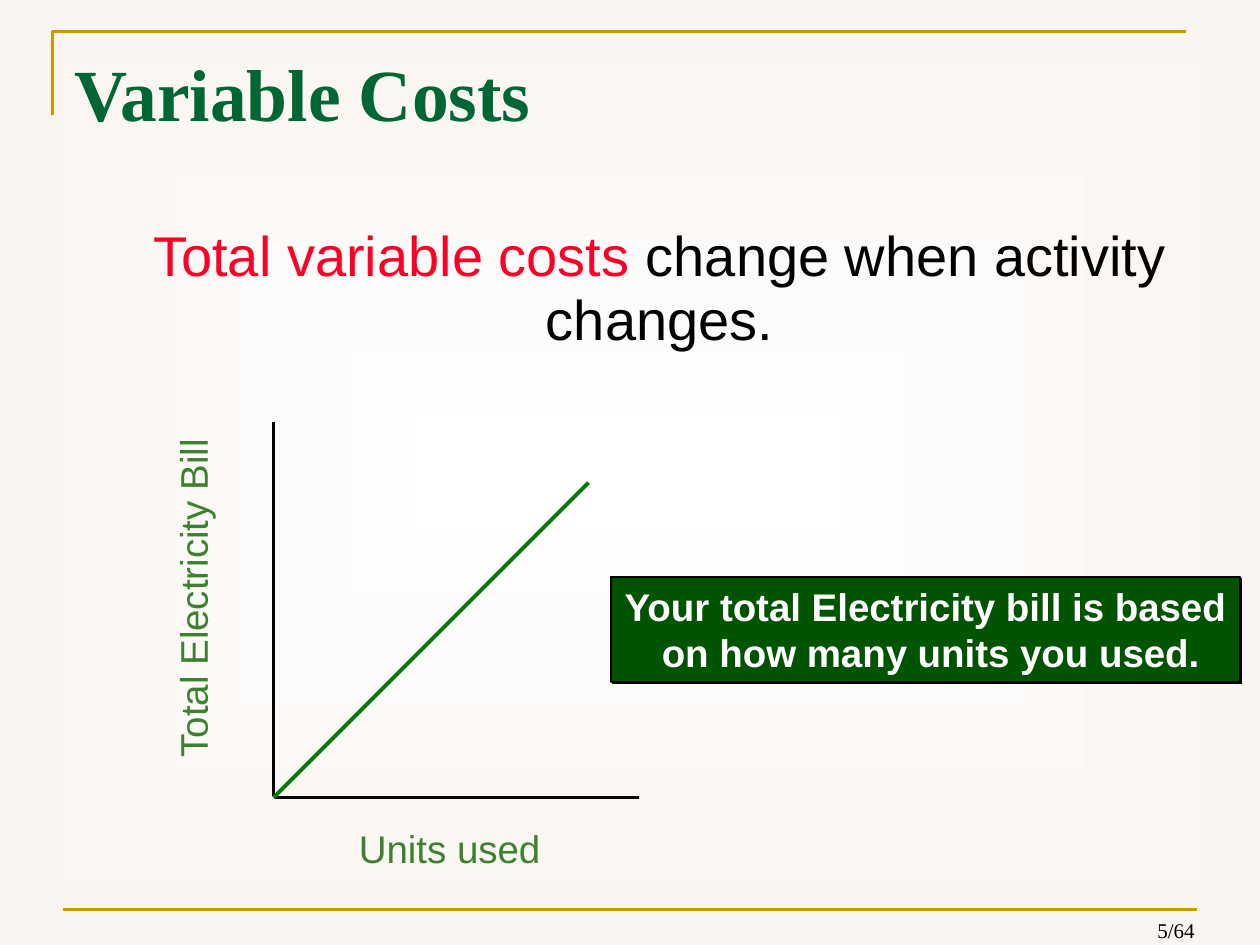
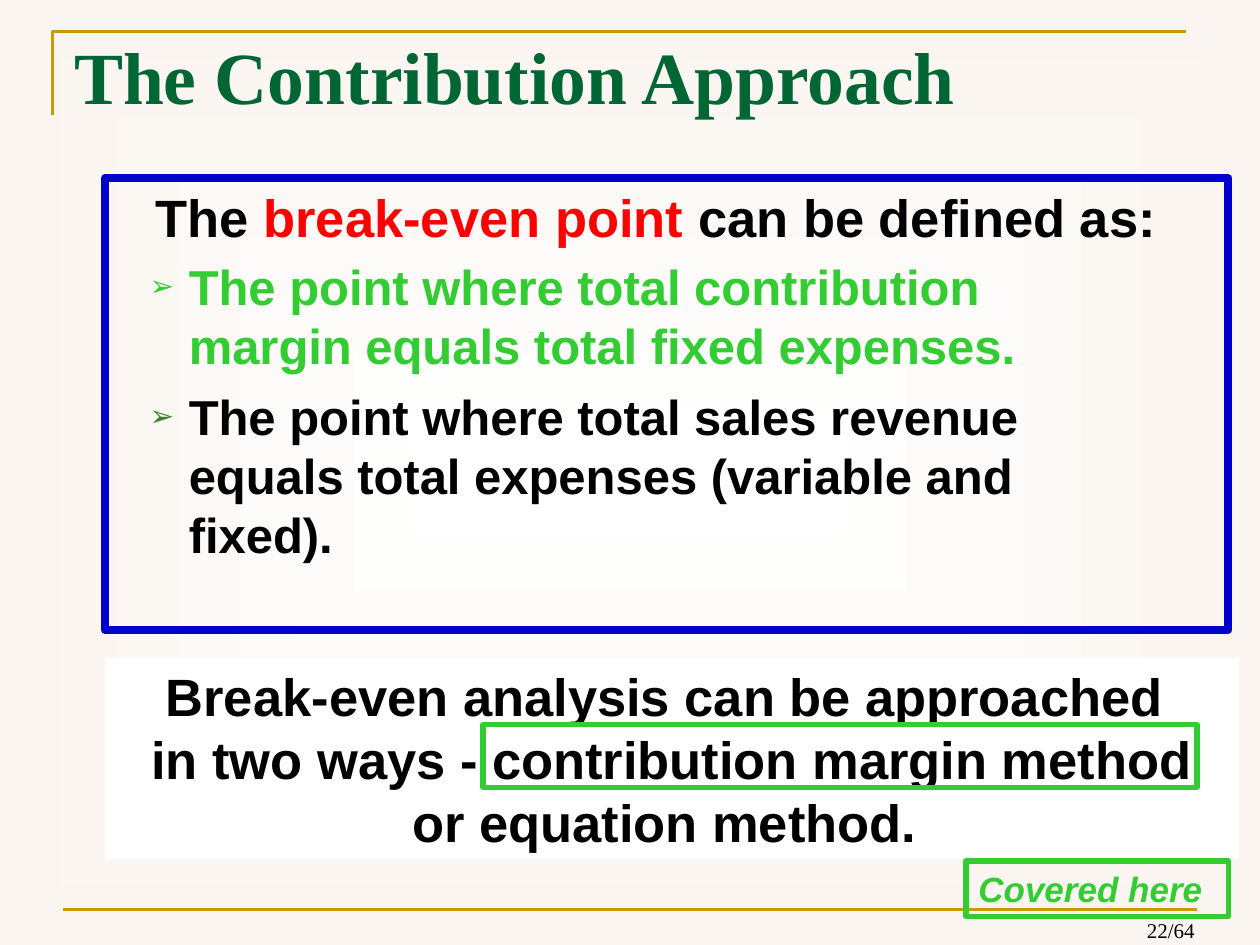
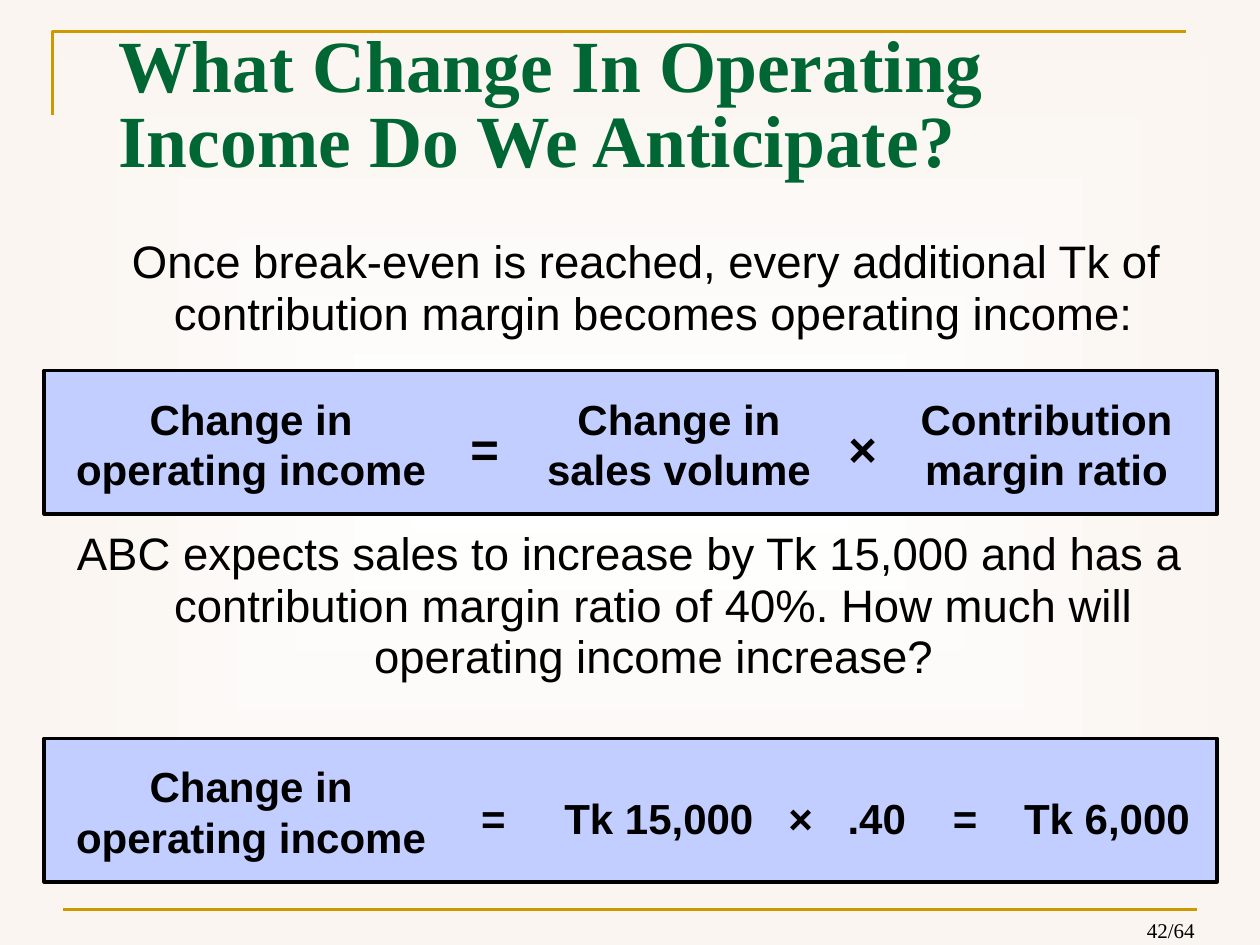
from lxml import etree
from pptx import Presentation
from pptx.dml.color import RGBColor
from pptx.enum.shapes import MSO_CONNECTOR, MSO_SHAPE
from pptx.enum.text import MSO_ANCHOR, PP_ALIGN
from pptx.oxml.ns import qn
from pptx.util import Pt

LEFT, MID, RIGHT = PP_ALIGN.LEFT, PP_ALIGN.CENTER, PP_ALIGN.RIGHT
TOP, LOW = MSO_ANCHOR.TOP, MSO_ANCHOR.BOTTOM
RECT, STRAIGHT = MSO_SHAPE.RECTANGLE, MSO_CONNECTOR.STRAIGHT

BLACK = RGBColor(0x00, 0x00, 0x00)
WHITE = RGBColor(0xFF, 0xFF, 0xFF)
CREAM = RGBColor(0xFA, 0xF5, 0xF0)
GOLD = RGBColor(0xCC, 0x99, 0x00)
PINE = RGBColor(0x00, 0x66, 0x33)
MOSS = RGBColor(0x3B, 0x81, 0x2F)
DARK = RGBColor(0x00, 0x54, 0x00)
LEAF = RGBColor(0x03, 0x7C, 0x03)
LIME = RGBColor(0x33, 0xCC, 0x33)
ROSE = RGBColor(0xFC, 0x01, 0x28)
RED = RGBColor(0xFF, 0x00, 0x00)
BLUE = RGBColor(0x00, 0x00, 0xCC)
PALE = RGBColor(0xC1, 0xCE, 0xFF)

# Run formats
HEAD = dict(name="Times New Roman", size=42, bold=True, color=PINE)
PAGE = dict(name="Times New Roman", size=12, color=BLACK)
AXIS = dict(name="Arial", size=22, color=MOSS)
LEAD = dict(name="Arial", size=32, color=BLACK)
BOLD = dict(name="Arial", size=30, bold=True, color=BLACK)
POINT = dict(BOLD, size=28)
NOTE = dict(BOLD, size=22, color=WHITE)
TAG = dict(BOLD, size=20, italic=True, color=LIME)
BODY = dict(name="Arial", size=26, color=BLACK)
TERM = dict(BOLD, size=24)

# Title, title place (left, top, width, height), page number
PAGES = [
    ("Variable Costs", (35.3, 18, 648, 63.4), "5/64"),
    ("The Contribution Approach", (35.3, 18, 648, 54), "22/64"),
    ("What Change In Operating Income Do We Anticipate?",
     (60.5, 12.2, 599, 95.8), "42/64"),
]

# Slide 1: from, to, colour, width
GRAPH = [
    ((156.3, 241.2), (156.3, 455), BLACK, 2),
    ((157, 455.8), (365, 455.8), BLACK, 2),
    ((156.3, 455.8), (336.3, 275.8), LEAF, 2.25),
]
BILL = [[("Your total Electricity bill is based", NOTE)],
        [(" on how many units you used.", NOTE)]]

# Slide 2
POINTS = [
    ("The point where total contribution\n"
     "margin equals total fixed expenses.", LIME, LIME),
    ("The point where total sales revenue\n"
     "equals total expenses (variable and\nfixed).", BLACK, MOSS),
]
WAYS = ("Break-even analysis can be approached \n"
        "in two ways - contribution margin method\nor equation method. ")
FRAMES = [
    ((60, 102, 642, 258), BLUE, 4.5),
    ((276, 414, 408, 36), LIME, 3),
    ((552, 492, 150, 31.7), LIME, 3),
]

# Slide 3: text, top, first-line indent
ASKS = [
    ("Once break-even is reached, every additional Tk of contribution "
     "margin becomes operating income:", 132, -8),
    ("ABC expects sales to increase by Tk 15,000 and has a contribution "
     "margin ratio of 40%. How much will operating income increase?",
     298.6, -27.4),
]
# Band top, then its terms: text, centre, width, size, drop below band top
INCOME = ("Change in\noperating income", 143.5, 230, 24, 9.4)
BANDS = [
    (211.7, [INCOME, ("=", 277, 31, 28, 23.8),
             ("Change in\nsales volume", 388, 180, 24, 9.4),
             ("×", 493, 31, 28, 23.8),
             ("Contribution\nmargin ratio", 598, 170, 24, 9.4)]),
    (421.9, [INCOME, ("=", 282, 31, 24, 27.4),
             ("Tk 15,000", 376.5, 125, 24, 27.4),
             ("×", 457.5, 31, 24, 27.4), (".40", 501, 50, 24, 27.4),
             ("=", 551.5, 31, 24, 27.4), ("Tk 6,000", 632.5, 112, 24, 27.4)]),
]


def add(parent, tag, **values):
    node = etree.SubElement(parent, qn(tag))
    for key, value in values.items():
        node.set(key, str(value))
    return node


def style(run, form):
    for key, value in form.items():
        if key == "color":
            run.font.color.rgb = value
        else:
            setattr(run.font, key, Pt(value) if key == "size" else value)


def write(shape, paras, align=LEFT, anchor=TOP, wrap=True, space=None):
    """Fill a shape with paragraphs, each a list of (text, format)."""
    frame = shape.text_frame
    frame.word_wrap = wrap
    frame.vertical_anchor = anchor
    for num, runs in enumerate(paras):
        para = frame.add_paragraph() if num else frame.paragraphs[0]
        para.alignment = align
        if space:
            para.line_spacing = space
        for text, form in runs:
            for row, line in enumerate(text.split("\n")):
                if row:
                    para.add_line_break()
                run = para.add_run()
                run.text = line
                style(run, form)
    return shape


def label(slide, place, paras, **opts):
    return write(slide.shapes.add_textbox(*map(Pt, place)), paras, **opts)


def indent(para, left, first):
    props = para._p.get_or_add_pPr()
    props.set("marL", str(Pt(left)))
    props.set("indent", str(Pt(first)))
    return props


def rect(slide, place, fill=None, line=None, width=1):
    shape = slide.shapes.add_shape(RECT, *map(Pt, place))
    shape.shadow.inherit = False
    paint(shape.fill, fill)
    paint(shape.line.fill, line)
    if line is not None:
        shape.line.width = Pt(width)
    return shape


def paint(fill, color):
    if color is None:
        fill.background()
    else:
        fill.solid()
        fill.fore_color.rgb = color


def rule(slide, start, end, color, width):
    line = slide.shapes.add_connector(STRAIGHT, *map(Pt, start + end))
    line.line.color.rgb = color
    line.line.width = Pt(width)
    add(line.element.spPr, "a:effectLst")


def glow(slide):
    """Shade the background from a white centre to cream edges."""
    fill = slide.background.fill
    fill.gradient()
    for stop, color in zip(fill.gradient_stops, (WHITE, CREAM)):
        stop.color.rgb = color
    grad = slide.element.xpath(".//p:bg//a:gradFill")[0]
    grad.remove(grad.find(qn("a:lin")))
    half = dict.fromkeys("ltrb", 50000)
    add(add(grad, "a:path", **{"path": "rect"}), "a:fillToRect", **half)


def start(deck, title, place, page):
    """Add a slide with everything that all slides share."""
    slide = deck.slides.add_slide(deck.slide_layouts[6])
    glow(slide)
    pen = slide.shapes.build_freeform(Pt(30), Pt(66))
    pen.add_line_segments([(Pt(30), Pt(18)), (Pt(678), Pt(18))], close=False)
    corner = pen.convert_to_shape()
    corner.shadow.inherit = False
    corner.fill.background()
    corner.line.color.rgb = GOLD
    corner.line.width = Pt(1.5)
    rule(slide, (36, 519.6), (684, 519.6), GOLD, 1.5)
    label(slide, (586.8, 524.9, 103, 17.3), [[(page, PAGE)]],
          align=RIGHT, anchor=LOW)
    label(slide, place, [[(title, HEAD)]], anchor=LOW, space=0.85)
    return slide


def costs(slide):
    for line in GRAPH[:2]:
        rule(slide, *line)
    label(slide, (198, 468, 150, 33), [[("Units used", AXIS)]])
    side = label(slide, (-7.2, 325.4, 234, 33),
                 [[("Total Electricity Bill", AXIS)]], align=MID)
    side.rotation = 270
    lead = label(slide, (8, 125.3, 702, 80),
                 [[("Total variable costs ", dict(LEAD, color=ROSE)),
                   ("change when activity changes.", LEAD)]],
                 align=MID, space=0.95)
    indent(lead.text_frame.paragraphs[0], 36, 0)
    bill = rect(slide, (349.2, 329.8, 359.3, 59.8), DARK, BLACK)
    write(bill, BILL, align=MID, wrap=False)
    cast = add(bill.element.spPr.find(qn("a:effectLst")), "a:outerShdw",
               dist=Pt(1.4), dir=2700000, algn="ctr", rotWithShape=0)
    add(cast, "a:srgbClr", val=BLACK)
    rule(slide, *GRAPH[2])


def approach(slide):
    box = label(slide, (42.5, 143.3, 623.5, 204.5),
                [[(text, dict(POINT, color=color))]
                 for text, color, _ in POINTS])
    for num, para in enumerate(box.text_frame.paragraphs):
        if num:
            para.space_before = Pt(7)
        props = indent(para, 58.3, -22.3)
        add(add(props, "a:buClr"), "a:srgbClr", val=POINTS[num][2])
        add(props, "a:buSzPct", val=60000)
        add(props, "a:buFont", typeface="Arial")
        add(props, "a:buChar", char="➢")
    label(slide, (41.8, 102.2, 666, 43.2),
          [[("The ", BOLD), ("break-even point ", dict(BOLD, color=RED)),
            ("can be defined as:", BOLD)]], align=MID)
    write(rect(slide, (60, 375.8, 648, 115.2), WHITE), [[(WAYS, BOLD)]],
          align=MID)
    for place, color, width in FRAMES:
        frame = rect(slide, place, None, color, width)
    write(frame, [[("Covered here", TAG)]])


def change(slide):
    for text, top, first in ASKS:
        ask = label(slide, (12, top, 696, 70), [[(text, BODY)]],
                    align=MID, space=0.95)
        indent(ask.text_frame.paragraphs[0], 27.4, first)
    for top, terms in BANDS:
        rect(slide, (25.2, top, 670.3, 82), PALE, BLACK, 2)
        for text, mid, width, size, drop in terms:
            high = 7.2 + size * 1.2 * len(text.split("\n"))
            label(slide, (mid - width / 2, top + drop, width, high),
                  [[(text, dict(TERM, size=size))]], align=MID, wrap=False)


def main():
    deck = Presentation()
    deck.slide_width, deck.slide_height = Pt(720), Pt(540)
    for page, fill in zip(PAGES, (costs, approach, change)):
        fill(start(deck, *page))
    deck.save("out.pptx")


if __name__ == "__main__":
    main()
